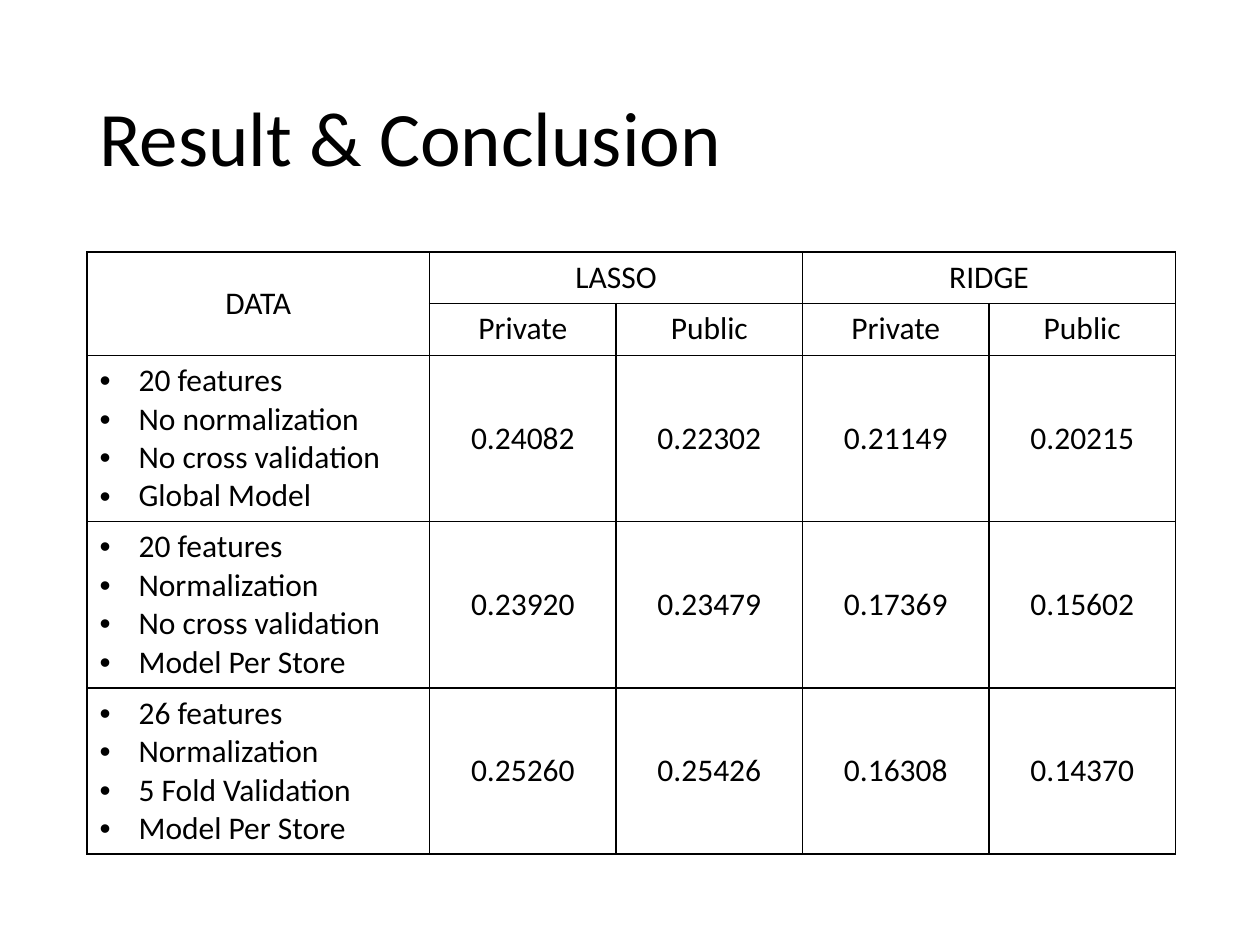
from dataclasses import dataclass

from lxml.etree import SubElement
from pptx import Presentation
from pptx.dml.color import RGBColor
from pptx.enum.text import MSO_ANCHOR, PP_ALIGN
from pptx.oxml import parse_xml
from pptx.oxml.ns import nsdecls, qn
from pptx.util import Inches, Pt

BLACK, WHITE = "000000", "FFFFFF"
MID, TOP = MSO_ANCHOR.MIDDLE, MSO_ANCHOR.TOP
FONT = {"name": "Calibri", "size": Pt(18), "bold": False}


@dataclass
class Item:
    row: int
    col: int
    lines: list[str]
    rows: int = 1
    cols: int = 1
    anchor: MSO_ANCHOR = MID
    bullet: bool = False


@dataclass
class Trial:
    setup: list[str]
    scores: list[str]


def color(code: str) -> RGBColor:
    return RGBColor.from_string(code)


def style(part, values: dict) -> None:
    for key, value in values.items():
        setattr(part, key, value)


def write(para, text: str, **extra) -> None:
    run = para.add_run()
    run.text = text
    style(run.font, {**FONT, **extra})
    run.font.color.rgb = color(BLACK)


def add_bullet(para) -> None:
    props = para._p.get_or_add_pPr()
    props.set("marL", str(Inches(0.31)))
    props.set("indent", str(-Inches(0.31)))
    SubElement(props, qn("a:buFont")).set("typeface", "Arial")
    SubElement(props, qn("a:buChar")).set("char", "•")


def add_edges(cell) -> None:
    props = cell._tc.get_or_add_tcPr()
    for spot, side in enumerate("LRTB"):
        props.insert(spot, parse_xml(
            f'<a:ln{side} {nsdecls("a")} w="{Pt(1)}"><a:solidFill>'
            f'<a:srgbClr val="{BLACK}"/></a:solidFill></a:ln{side}>'))


def fill_item(table, item: Item) -> None:
    cell = table.cell(item.row, item.col)
    if item.rows * item.cols > 1:
        cell.merge(table.cell(item.row + item.rows - 1,
                              item.col + item.cols - 1))
    cell.vertical_anchor = item.anchor
    frame = cell.text_frame
    for spot, line in enumerate(item.lines):
        para = frame.add_paragraph() if spot else frame.paragraphs[0]
        if item.bullet:
            add_bullet(para)
        else:
            para.alignment = PP_ALIGN.CENTER
        write(para, line)


deck = Presentation()
style(deck, {"slide_width": Inches(10), "slide_height": Inches(7.5)})
slide = deck.slides.add_slide(deck.slide_layouts[6])

# Title
title = slide.shapes.add_textbox(Inches(0.69), Inches(0.4),
                                 Inches(8.62), Inches(1.45))
style(title.text_frame, {"word_wrap": True, "vertical_anchor": MID})
head = title.text_frame.paragraphs[0]
head.line_spacing = 0.9
write(head, "Result & Conclusion", size=Pt(44))

# Table contents
trials = [
    Trial(["20 features", "No normalization", "No cross validation",
           "Global Model"],
          ["0.24082", "0.22302", "0.21149", "0.20215"]),
    Trial(["20 features", "Normalization", "No cross validation",
           "Model Per Store"],
          ["0.23920", "0.23479", "0.17369", "0.15602"]),
    Trial(["26 features", "Normalization", "5 Fold Validation",
           "Model Per Store"],
          ["0.25260", "0.25426", "0.16308", "0.14370"]),
]
items = [Item(0, 0, ["DATA"], rows=2)]
for col, model in ((1, "LASSO"), (3, "RIDGE")):
    items.append(Item(0, col, [model], cols=2, anchor=TOP))
    for step, board in enumerate(("Private", "Public")):
        items.append(Item(1, col + step, [board], anchor=TOP))
for row, trial in enumerate(trials, 2):
    items.append(Item(row, 0, trial.setup, anchor=TOP, bullet=True))
    for col, score in enumerate(trial.scores, 1):
        items.append(Item(row, col, [score]))

# Table grid
widths = [2.72] + [1.48] * 4
heights = [0.41] * 2 + [1.32] * len(trials)
table = slide.shapes.add_table(
    len(heights), len(widths), Inches(0.69), Inches(2),
    Inches(sum(widths)), Inches(sum(heights))).table
style(table, {"first_row": False, "horz_banding": False})
for column, width in zip(table.columns, widths):
    column.width = Inches(width)
for line, height in zip(table.rows, heights):
    line.height = Inches(height)
for cell in table.iter_cells():
    cell.fill.solid()
    cell.fill.fore_color.rgb = color(WHITE)
    add_edges(cell)
for item in items:
    fill_item(table, item)

deck.save("out.pptx")
